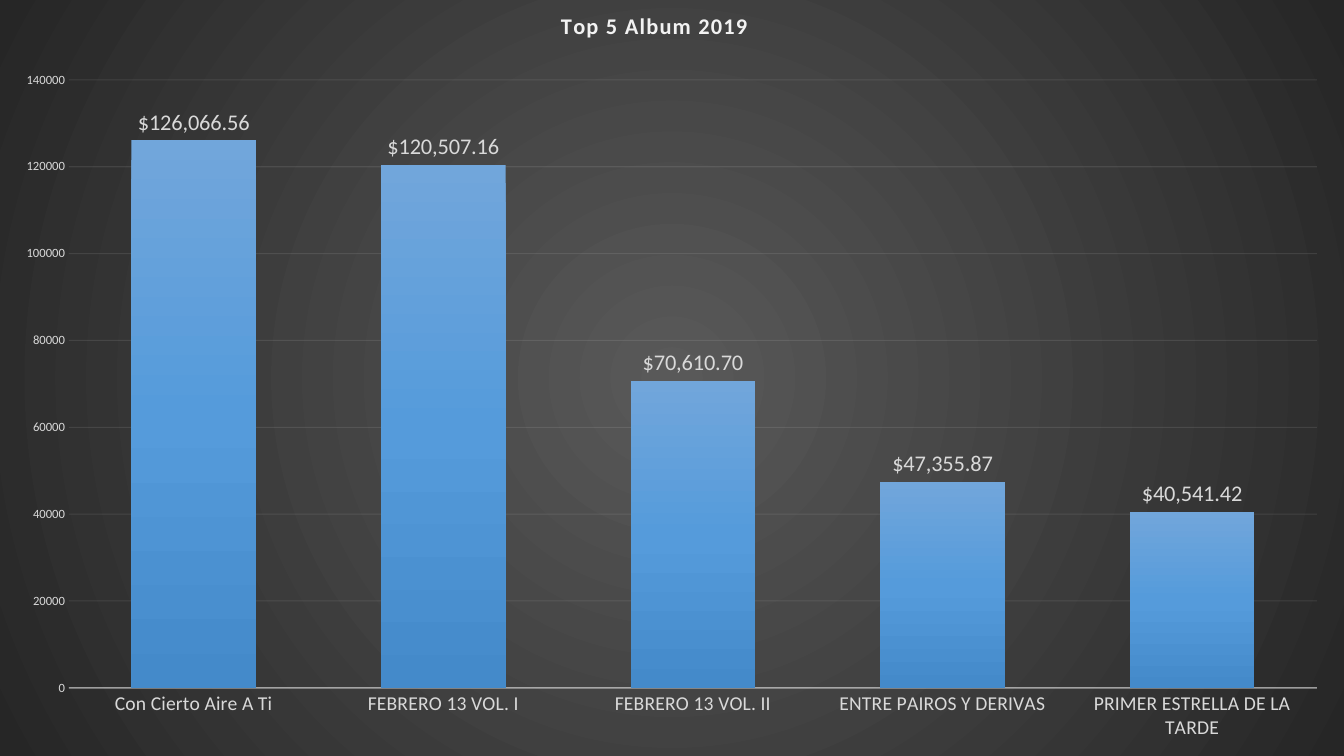
from lxml import etree
from pptx import Presentation
from pptx import util as u
from pptx.chart import data as chart_data
from pptx.dml import color as dml
from pptx.enum import chart as ch
from pptx.oxml import ns, parse_xml

WIDTH, HEIGHT = 1344, 756
PX = 9072  # EMU per px
FONT = "Calibri"
PALE, LIGHT = "F2F2F2", "D9D9D9"
ALBUMS = {
    "Con Cierto Aire A Ti": 126066.56,
    "FEBRERO 13 VOL. I": 120507.16,
    "FEBRERO 13 VOL. II": 70610.70,
    "ENTRE PAIROS Y DERIVAS": 47355.87,
    "PRIMER ESTRELLA DE LA TARDE": 40541.42,
}


def px(length):
    return u.Emu(length * PX)


def rgb(hex_color):
    return dml.RGBColor.from_string(hex_color)


def style_font(font, size, color, bold=False):
    font.name, font.size, font.bold = FONT, u.Pt(size), bold
    font.color.rgb = rgb(color)


def style_line(line, color, width, opacity):
    """Solid line; opacity is in percent."""
    line.width = u.Pt(width)
    line.color.rgb = rgb(color)
    for solid in line._ln.iter(ns.qn("a:srgbClr")):
        etree.SubElement(solid, ns.qn("a:alpha"), val=str(opacity * 1000))


def gradient(colors, direction):
    """Gradient fill with evenly spaced stops; direction is its closing XML."""
    step = 100000 // (len(colors) - 1)
    stops = "".join(f'<a:gs pos="{i * step}"><a:srgbClr val="{c}"/></a:gs>'
                    for i, c in enumerate(colors))
    return parse_xml(f'<a:gradFill {ns.nsdecls("a")}><a:gsLst>{stops}</a:gsLst>'
                     f'{direction}</a:gradFill>')


def manual_layout(box, left, top, width=None, height=None, inner=False):
    """Chart layout for px positions inside the chart's box."""
    parts = ['<c:layoutTarget val="inner"/>'] if inner else []
    parts += ['<c:xMode val="edge"/>', '<c:yMode val="edge"/>']
    for tag, value, whole in (("x", left, box[2]), ("y", top, box[3]),
                              ("w", width, box[2]), ("h", height, box[3])):
        if value is not None:
            parts.append(f'<c:{tag} val="{value / whole:.4f}"/>')
    return parse_xml(f'<c:layout {ns.nsdecls("c")}><c:manualLayout>'
                     f'{"".join(parts)}</c:manualLayout></c:layout>')


def replace_layout(parent, layout, index):
    for old in parent.findall(ns.qn("c:layout")):
        parent.remove(old)
    parent.insert(index, layout)


def fill_background(chart):
    area = parse_xml(f'<c:spPr {ns.nsdecls("c", "a")}><a:ln><a:noFill/></a:ln></c:spPr>')
    area.insert(0, gradient(
        ["595959", "262626"],
        '<a:path path="circle"><a:fillToRect l="50000" t="50000" r="50000" b="50000"/></a:path>'))
    chart._chartSpace.find(ns.qn("c:chart")).addnext(area)


def add_title(chart, box):
    chart.has_title = True
    title = chart.chart_title
    title.include_in_layout = False
    span = title.text_frame.paragraphs[0].add_run()
    span.text = "Top 5 Album 2019"
    style_font(span.font, 16, PALE, bold=True)
    span.font._element.set("spc", "100")
    replace_layout(title._element, manual_layout(box, 557, 7), 1)


def style_axes(chart):
    names, values = chart.category_axis, chart.value_axis
    for axis, size in ((names, 14), (values, 9)):
        axis.major_tick_mark = axis.minor_tick_mark = ch.XL_TICK_MARK.NONE
        style_font(axis.tick_labels.font, size, LIGHT)
    style_line(names.format.line, PALE, 1, 54)
    values.format.line.fill.background()
    values.minimum_scale, values.maximum_scale, values.major_unit = 0, 140000, 20000
    values.tick_labels.number_format = "General"
    values.tick_labels.number_format_is_linked = False
    values.has_major_gridlines = True
    style_line(values.major_gridlines.format.line, PALE, 0.75, 10)


def style_columns(plot):
    plot.gap_width, plot.overlap = 100, -24
    plot.vary_by_categories = False
    series = plot.series[0]
    series._element.get_or_add_spPr().append(gradient(
        ["71A6DB", "559BDB", "448ACA"], '<a:lin ang="5400000" scaled="0"/>'))
    labels = series.data_labels
    labels.show_value = True
    labels.position = ch.XL_LABEL_POSITION.OUTSIDE_END
    labels.number_format = '"$"#,##0.00'
    labels.number_format_is_linked = False
    style_font(labels.font, 16, LIGHT)


def add_album_chart(page, box):
    sales = chart_data.CategoryChartData()
    sales.categories = list(ALBUMS)
    sales.add_series("Series 1", list(ALBUMS.values()))
    chart = page.shapes.add_chart(ch.XL_CHART_TYPE.COLUMN_CLUSTERED,
                                  *map(px, box), sales).chart
    chart.has_legend = False
    style_font(chart.font, 10, "000000")
    fill_background(chart)
    add_title(chart, box)
    style_axes(chart)
    style_columns(chart.plots[0])
    replace_layout(chart._chartSpace.chart.plotArea,
                   manual_layout(box, 69, 80, 1248, 608, inner=True), 0)


def main():
    deck = Presentation()
    deck.slide_width, deck.slide_height = px(WIDTH), px(HEIGHT)
    page = deck.slides.add_slide(deck.slide_layouts[6])
    add_album_chart(page, (0, 0, WIDTH, HEIGHT))
    deck.save("out.pptx")


if __name__ == "__main__":
    main()
